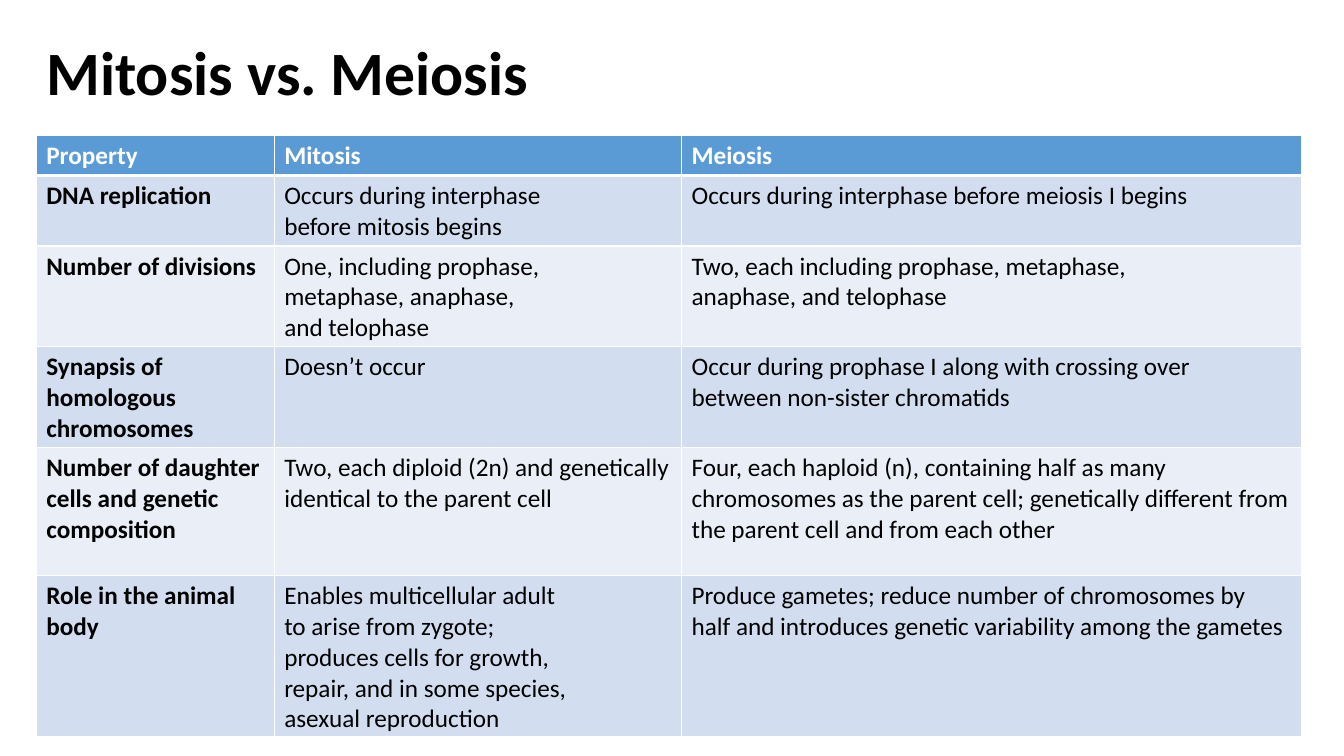
from lxml import etree
from pptx import Presentation
from pptx import util as u
from pptx.dml.color import RGBColor
from pptx.enum import text
from pptx.oxml import ns

WHITE = RGBColor(0xFF, 0xFF, 0xFF)
BLACK = RGBColor(0, 0, 0)
HEADER_BLUE = RGBColor(0x5B, 0x9B, 0xD5)
BANDS = [RGBColor(0xEA, 0xEF, 0xF7), RGBColor(0xD2, 0xDE, 0xEF)]
FONT = "Calibri"
LEFT = 0.36
COLUMN_WIDTHS = [2.36, 4.04, 6.15]
ROW_HEIGHTS = [0.39, 0.69, 0.98, 0.98, 1.27, 1.57]

COMPARISON = [
    ("Property", "Mitosis", "Meiosis"),
    ("DNA replication",
     "Occurs during interphase\nbefore mitosis begins",
     "Occurs during interphase before meiosis I begins"),
    ("Number of divisions",
     "One, including prophase,\nmetaphase, anaphase,\nand telophase",
     "Two, each including prophase, metaphase,\nanaphase, and telophase"),
    ("Synapsis of\nhomologous\nchromosomes",
     "Doesn’t occur",
     "Occur during prophase I along with crossing over\nbetween non-sister chromatids"),
    ("Number of daughter\ncells and genetic\ncomposition",
     "Two, each diploid (2n) and genetically identical to the parent cell",
     "Four, each haploid (n), containing half as many chromosomes as the parent cell; "
     "genetically different from the parent cell and from each other"),
    ("Role in the animal\nbody",
     "Enables multicellular adult\nto arise from zygote;\nproduces cells for growth,\n"
     "repair, and in some species,\nasexual reproduction",
     "Produce gametes; reduce number of chromosomes by\n"
     "half and introduces genetic variability among the gametes"),
]


def style_font(font, size, color, bold):
    font.name = FONT
    font.size = u.Pt(size)
    font.color.rgb = color
    font.bold = bold


def add_border(cell, side, points):
    properties = cell._tc.get_or_add_tcPr()
    line = etree.SubElement(properties, ns.qn(f"a:{side}"), w=str(u.Pt(points)))
    fill = etree.SubElement(line, ns.qn("a:solidFill"))
    etree.SubElement(fill, ns.qn("a:srgbClr"), val=str(WHITE))


deck = Presentation()
deck.slide_width = u.Inches(13.33)
deck.slide_height = u.Inches(7.5)
page = deck.slides.add_slide(deck.slide_layouts[6])

title_box = page.shapes.add_textbox(u.Inches(LEFT), u.Inches(0.02), u.Inches(11.5), u.Inches(1.45))
title_frame = title_box.text_frame
title_frame.word_wrap = True
title_frame.vertical_anchor = text.MSO_ANCHOR.MIDDLE
title_para = title_frame.paragraphs[0]
title_para.text = "Mitosis vs. Meiosis"
title_para.line_spacing = 0.9
style_font(title_para.font, 44, BLACK, True)

table = page.shapes.add_table(
    len(ROW_HEIGHTS), len(COLUMN_WIDTHS), u.Inches(LEFT), u.Inches(1.34),
    u.Inches(sum(COLUMN_WIDTHS)), u.Inches(sum(ROW_HEIGHTS))).table
for column, width in zip(table.columns, COLUMN_WIDTHS):
    column.width = u.Inches(width)
for row, height in zip(table.rows, ROW_HEIGHTS):
    row.height = u.Inches(height)

for row_index, entries in enumerate(COMPARISON):
    is_header = row_index == 0
    for column_index, entry in enumerate(entries):
        cell = table.cell(row_index, column_index)
        for side in ("lnL", "lnR", "lnT", "lnB"):
            thick = (side == "lnB" and is_header) or (side == "lnT" and row_index == 1)
            add_border(cell, side, 3 if thick else 1)
        cell.fill.solid()
        cell.fill.fore_color.rgb = HEADER_BLUE if is_header else BANDS[row_index % 2]
        cell.text = entry
        for para in cell.text_frame.paragraphs:
            style_font(para.font, 18, WHITE if is_header else BLACK, is_header or column_index == 0)

deck.save("out.pptx")
